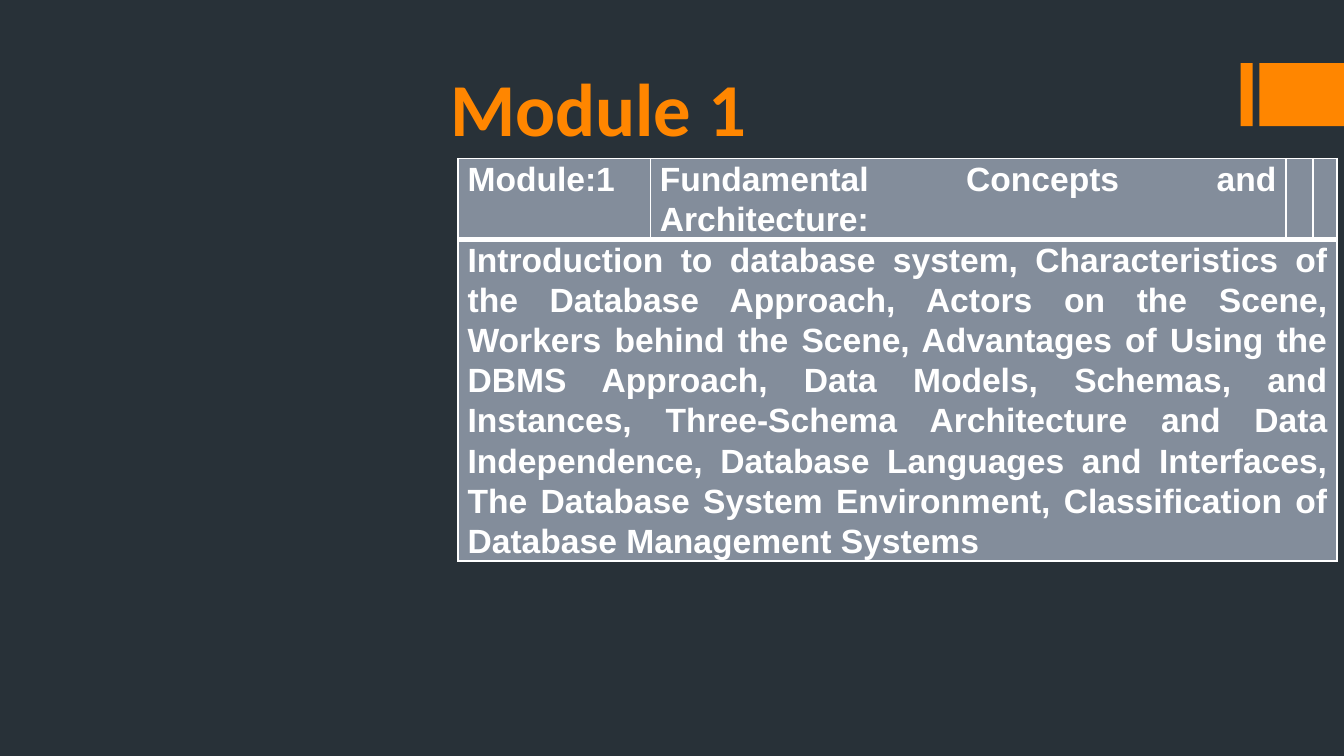
from lxml import etree
from pptx import Presentation
from pptx import util as u
from pptx.dml.color import RGBColor
from pptx.enum import shapes, text
from pptx.oxml.ns import qn

# Content
TITLE = "Module 1"
HEADER = ["Module:1", "Fundamental Concepts and Architecture:", "", ""]
TOPICS = [
    "Introduction to database system",
    "Characteristics of the Database Approach",
    "Actors on the Scene",
    "Workers behind the Scene",
    "Advantages of Using the DBMS Approach",
    "Data Models, Schemas, and Instances",
    "Three-Schema Architecture and Data Independence",
    "Database Languages and Interfaces",
    "The Database System Environment",
    "Classification of Database Management Systems",
]

# Style and grid, in inches
DARK = RGBColor(0x28, 0x31, 0x38)
ORANGE = RGBColor(0xFF, 0x86, 0x00)
GREY = RGBColor(0x83, 0x8D, 0x9B)
WHITE = RGBColor(0xFF, 0xFF, 0xFF)
WIDTH = 10
HEIGHT = WIDTH * 9 / 16
COLUMNS = [1.43, 4.73, 0.2, 0.18]
ROWS = [0.4, 2.24]
TABLE_LEFT, TABLE_TOP = 3.41, 1.18
BAR_TOP, BAR_HEIGHT = 0.47, 0.47
BARS = [(9.23, 0.09), (9.37, 0.63)]  # left, width


def style_run(span, font, size, color):
    span.font.name = font
    span.font.size = u.Pt(size)
    span.font.bold = True
    span.font.color.rgb = color


def set_borders(cell, bottom):
    properties = cell._tc.get_or_add_tcPr()
    sides = [("L", 1), ("R", 1), ("T", 1), ("B", bottom)]
    for index, (side, points) in enumerate(sides):
        line = etree.Element(qn(f"a:ln{side}"), w=str(u.Pt(points)))
        fill = etree.SubElement(line, qn("a:solidFill"))
        etree.SubElement(fill, qn("a:srgbClr"), val=str(WHITE))
        properties.insert(index, line)


def fill_cell(cell, words):
    cell.fill.solid()
    cell.fill.fore_color.rgb = GREY
    cell.margin_left = cell.margin_right = u.Inches(0.07)
    cell.margin_top = cell.margin_bottom = 0
    cell.text_frame.text = words
    para = cell.text_frame.paragraphs[0]
    para.alignment = text.PP_ALIGN.JUSTIFY
    para.line_spacing = 1.07
    for span in para.runs:
        style_run(span, "Arial", 18, WHITE)


deck = Presentation()
deck.slide_width, deck.slide_height = u.Inches(WIDTH), u.Inches(HEIGHT)
page = deck.slides.add_slide(deck.slide_layouts[5])
page.background.fill.solid()
page.background.fill.fore_color.rgb = DARK

# Corner bars
for left, width in BARS:
    bar = page.shapes.add_shape(
        shapes.MSO_SHAPE.RECTANGLE,
        *map(u.Inches, (left, BAR_TOP, width, BAR_HEIGHT)))
    bar.shadow.inherit = False
    bar.fill.solid()
    bar.fill.fore_color.rgb = ORANGE
    bar.line.fill.background()

# Title
title = page.shapes.title
title.left, title.top, title.width, title.height = map(
    u.Inches, (3.25, 0.24, 6.75, 0.94))
title.text_frame.text = TITLE
title.text_frame.vertical_anchor = text.MSO_ANCHOR.BOTTOM
heading = title.text_frame.paragraphs[0]
heading.alignment = text.PP_ALIGN.LEFT
style_run(heading.runs[0], "Calibri", 40, ORANGE)

# Module table: header row above one merged row of topics
table = page.shapes.add_table(
    len(ROWS), len(COLUMNS),
    *map(u.Inches, (TABLE_LEFT, TABLE_TOP, sum(COLUMNS), sum(ROWS)))).table
for column, width in zip(table.columns, COLUMNS):
    column.width = u.Inches(width)
for row, height in zip(table.rows, ROWS):
    row.height = u.Inches(height)
table.cell(1, 0).merge(table.cell(1, len(COLUMNS) - 1))
body = [", ".join(TOPICS)] + [""] * (len(COLUMNS) - 1)
for row, words, bottom in zip(table.rows, (HEADER, body), (3, 1)):
    for cell, content in zip(row.cells, words):
        fill_cell(cell, content)
        set_borders(cell, bottom)

deck.save("out.pptx")
